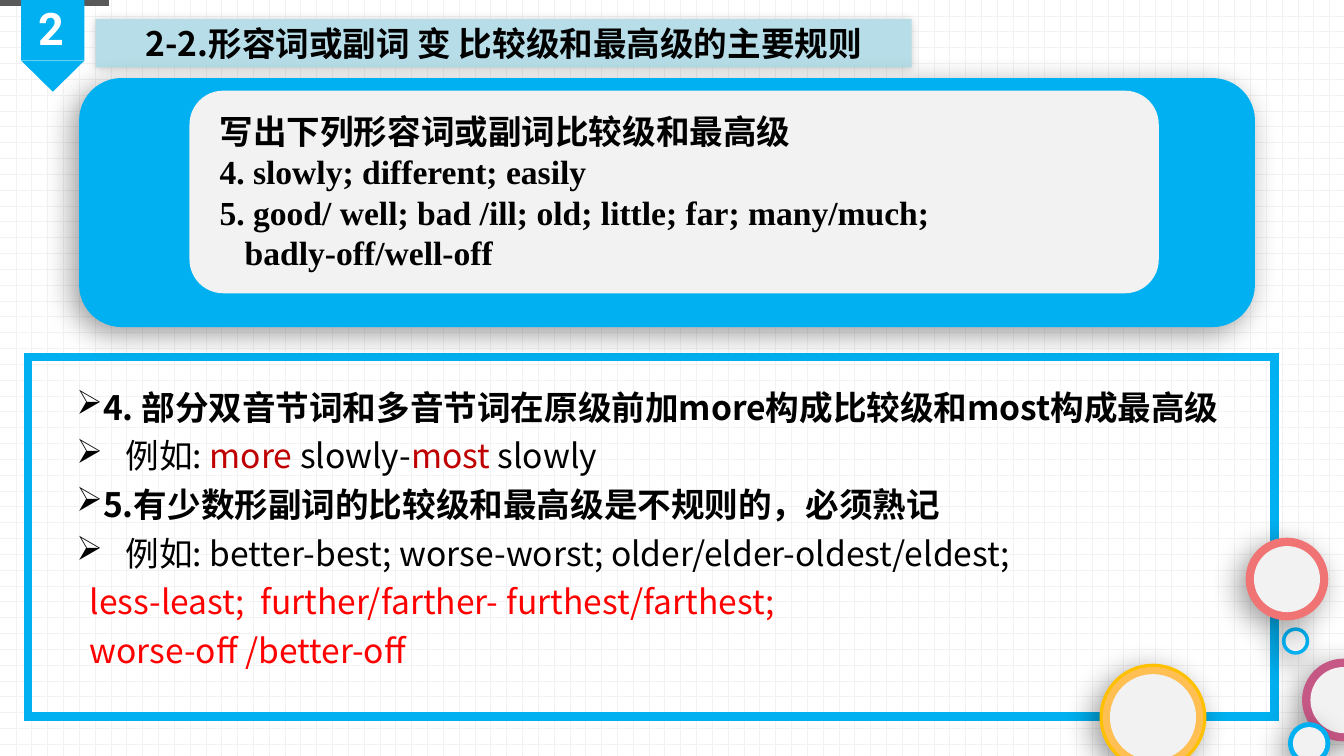
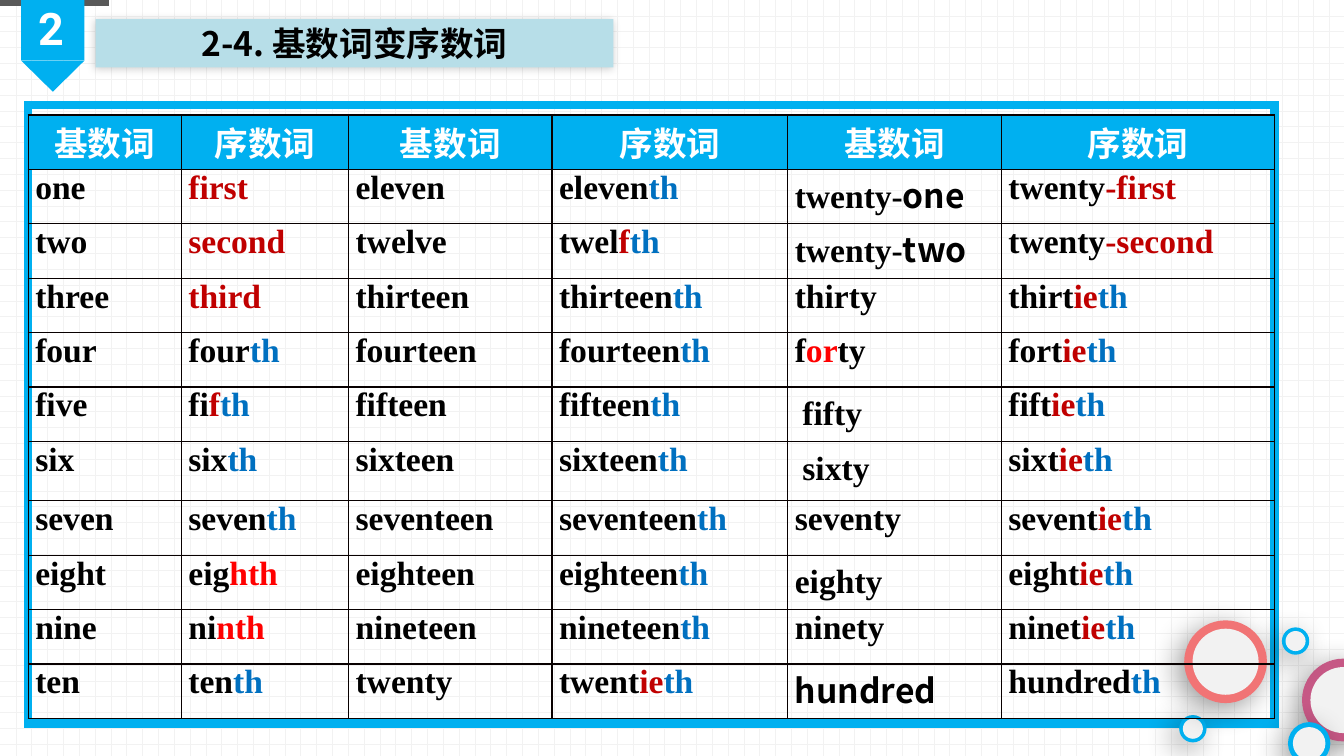
from dataclasses import dataclass

from lxml import etree
from pptx import Presentation
from pptx import util as u
from pptx.dml.color import RGBColor
from pptx.enum import dml, shapes, text
from pptx.oxml.ns import qn


@dataclass(frozen=True)
class Theme:
    """Colours, fonts and type sizes shared by the slides."""
    sky: str = "00B0F0"
    pale: str = "B7DEE8"
    mist: str = "F2F2F2"
    white: str = "FFFFFF"
    black: str = "000000"
    grid: str = "080000"
    slate: str = "595959"
    deep: str = "C00000"
    red: str = "FF0000"
    blue: str = "0070C0"
    purple: str = "C65885"
    coral: str = "F17475"
    amber: str = "FFBF53"
    gold: str = "FFC000"
    sans: str = "Noto Sans CJK SC"
    serif: str = "Times New Roman"
    digit: str = "Roboto"
    size: float = 24
    digit_size: float = 32
    leading: float = 34.8


@dataclass(frozen=True)
class Box:
    """A region in inches, divided by percentages."""
    x: float
    y: float
    w: float
    h: float

    def area(self, x, y, w, h):
        """Return the region at the given percentages of this one."""
        return Box(self.x + self.w * x / 100, self.y + self.h * y / 100,
                   self.w * w / 100, self.h * h / 100)

    def emu(self):
        """Return left, top, width and height as lengths."""
        return [u.Inches(v) for v in (self.x, self.y, self.w, self.h)]


T = Theme()
PAGE = Box(0, 0, 13.34, 7.5)
KIND = shapes.MSO_SHAPE
MIDDLE = text.MSO_ANCHOR.MIDDLE
CENTER = text.PP_ALIGN.CENTER
SOFT, DEEP = (20, 6, 1), (40, 22, 7)
MARKS = {"#": T.deep, "+": T.blue, "!": T.red, "~": T.black}

TITLES = [("2-2.形容词或副词 变 比较级和最高级的主要规则", 60.72),
          ("2-4. 基数词变序数词", 38.53)]

QUESTIONS = [("写出下列形容词或副词比较级和最高级", 0),
             ("4. slowly; different; easily", 0),
             ("5. good/ well; bad /ill; old; little; far; many/much;", 0),
             ("badly-off/well-off", 0.25)]

RULE, EXAMPLE, MORE = (0.38, 0, True), (0.87, -0.49, True), (0.51, 0, False)
RULES = [
    ("4. 部分双音节词和多音节词在原级前加more构成比较级和most构成最高级", True, RULE),
    ("例如: |#more| slowly-|#most| slowly", False, EXAMPLE),
    ("5.有少数形副词的比较级和最高级是不规则的，必须熟记", True, RULE),
    ("例如: better-best; worse-worst; older/elder-oldest/eldest;", False, EXAMPLE),
    ("!less-least;  further/farther- furthest/farthest;", False, MORE),
    ("!worse-off /better-off", False, MORE),
]

NUMERALS = [
    ["基数词", "序数词"] * 3,
    ["one", "#first", "eleven", "eleven|+th", "twenty-|~one", "twenty|#-first"],
    ["two", "#second", "twelve", "twel|#f|+th", "twenty-|~two", "twenty|#-second"],
    ["three", "#third", "thirteen", "thirteen|+th", "thirty", "thirt|#ie|+th"],
    ["four", "four|+th", "fourteen", "fourteen|+th", "f|!or|ty", "fort|#ie|+th"],
    ["five", "fi|#f|+th", "fifteen", "fifteen|+th", "~ |fifty", "fift|#ie|+th"],
    ["six", "six|+th", "sixteen", "sixteen|+th", "~ |sixty", "sixt|#ie|+th"],
    ["seven", "seven|+th", "seventeen", "seventeen|+th", "seventy", "sevent|#ie|+th"],
    ["eight", "eig|!hth", "eighteen", "eighteen|+th", "eighty", "eight|#ie|+th"],
    ["nine", "ni|!nth", "nineteen", "nineteen|+th", "ninety", "ninet|#ie|+th"],
    ["ten", "ten|+th", "twenty", "twent|#ie|+th", "~hundred", "hundred|+th"],
]
COLUMNS = [1.52, 1.66, 2.02, 2.34, 2.12, 2.71]
ROWS = [0.54] * 6 + [0.59] + [0.54] * 4

CORNER_RINGS = [(99.96, 92.6, 5.92, T.purple, T.purple),
                (97.41, 98.33, 2.92, T.sky, T.sky),
                (96.4, 84.8, 1.8, T.sky, T.sky)]
RULE_RINGS = [(85.79, 94.87, 7.72, T.amber, T.gold),
              (95.76, 76.6, 5.92, T.coral, T.coral)]
TABLE_RINGS = [(88.76, 96.4, 1.8, T.sky, T.sky),
               (91.19, 87.53, 5.92, T.coral, T.coral)]


def rgb(value):
    """Return a colour from its hex digits."""
    return RGBColor.from_string(value)


def node(parent, tag, **attrs):
    """Append a drawing element to parent."""
    return etree.SubElement(parent, qn("a:" + tag), {k: str(v) for k, v in attrs.items()})


def add_shadow(sp, alpha, blur, dist):
    """Give a shape a soft shadow to its lower left."""
    effects = sp._element.spPr.find(qn("a:effectLst"))
    outer = node(effects, "outerShdw", blurRad=u.Pt(blur), dist=u.Pt(dist),
                 dir=135 * 60000, algn="tr", rotWithShape=0)
    node(node(outer, "srgbClr", val=T.black), "alpha", val=alpha * 1000)


def add_shape(parent, kind, box, fill=None, line=None, width=2.25, shadow=None):
    """Add a preset shape with plain fill, line and optional shadow."""
    sp = parent.shapes.add_shape(kind, *box.emu())
    sp.shadow.inherit = False
    if fill:
        sp.fill.solid()
        sp.fill.fore_color.rgb = rgb(fill)
    else:
        sp.fill.background()
    if line:
        sp.line.color.rgb = rgb(line)
        sp.line.width = u.Pt(width)
        node(sp._element.spPr.find(qn("a:ln")), "miter", lim=800000)
    else:
        sp.line.fill.background()
    if shadow:
        add_shadow(sp, *shadow)
    return sp


def add_runs(p, marked, font=T.sans, color=T.black, bold=True, size=T.size):
    """Write marked text, one run for each piece between bars."""
    for piece in marked.split("|"):
        mark = piece[0] if piece[0] in MARKS else ""
        r = p.add_run()
        r.text = piece[len(mark):]
        r.font.size = u.Pt(size)
        r.font.bold = bold
        r.font.color.rgb = rgb(MARKS.get(mark, color))
        r.font.name = T.sans if mark == "~" else font
        node(r._r.get_or_add_rPr(), "ea", typeface=T.sans)


def add_text(slide, box, wrap=True):
    """Add a text box and return its text frame."""
    tf = slide.shapes.add_textbox(*box.emu()).text_frame
    tf.word_wrap = wrap
    return tf


def next_paragraph(tf, index, left=0, first=0):
    """Return the paragraph at index with its indents set."""
    p = tf.add_paragraph() if index else tf.paragraphs[0]
    pPr = p._p.get_or_add_pPr()
    pPr.set("marL", str(u.Inches(left)))
    pPr.set("indent", str(u.Inches(first)))
    return p


def add_marker(slide, box):
    """Add the chapter ribbon with its number."""
    ribbon = slide.shapes.add_group_shape()
    add_shape(ribbon, KIND.RECTANGLE, box.area(0, 0, 100, 66), T.sky)
    add_shape(ribbon, KIND.ISOSCELES_TRIANGLE, box.area(0, 66, 100, 34), T.sky).rotation = 180
    p = add_text(slide, box.area(11.1, -22, 82.5, 88), wrap=False).paragraphs[0]
    p.line_spacing = 1.3
    p.space_before = u.Pt(6)
    add_runs(p, "2", T.digit, T.white, size=T.digit_size)


def add_title(slide, box, title):
    """Add the title band."""
    tf = add_shape(slide, KIND.RECTANGLE, box, T.pale, shadow=SOFT).text_frame
    tf.margin_left = tf.margin_right = u.Inches(0.07)
    tf.margin_top = tf.margin_bottom = u.Inches(0.04)
    tf.vertical_anchor = MIDDLE
    tf.word_wrap = True
    tf.paragraphs[0].alignment = CENTER
    add_runs(tf.paragraphs[0], title)


def add_frame(slide, box):
    """Add the thick outline around the content."""
    add_shape(slide, KIND.RECTANGLE, box, line=T.sky, width=6)


def add_rings(slide, box, rings):
    """Add rings from centre, diameter, fill and line."""
    for cx, cy, share, fill, line in rings:
        d = box.w * share / 100
        disc = Box(box.x + box.w * cx / 100 - d / 2, box.y + box.h * cy / 100 - d / 2, d, d)
        ring = slide.shapes.add_group_shape()
        add_shape(ring, KIND.OVAL, disc, fill, line, shadow=DEEP)
        add_shape(ring, KIND.OVAL, disc.area(8.5, 8.5, 83, 83), T.mist)


def add_questions(slide, box):
    """Add the rounded panel with the exercise."""
    panel = slide.shapes.add_group_shape()
    add_shape(panel, KIND.ROUNDED_RECTANGLE, box, T.sky, T.sky, shadow=DEEP)
    add_shape(panel, KIND.ROUNDED_RECTANGLE, box.area(9.28, 4.5, 82.65, 82.38), T.mist)
    tf = add_text(slide, box.area(11, 10.66, 80.93, 69.67))
    for i, (line, left) in enumerate(QUESTIONS):
        add_runs(next_paragraph(tf, i, left), line, T.serif)


def add_rules(slide, box):
    """Add the framed rules and their examples."""
    add_frame(slide, box)
    tf = add_text(slide, box.area(0, -2.5, 98.2, 98))
    tf.vertical_anchor = MIDDLE
    for i, (line, bold, (left, first, bullet)) in enumerate(RULES):
        p = next_paragraph(tf, i, left, first)
        p.line_spacing = u.Pt(T.leading)
        if bullet:
            node(p._p.get_or_add_pPr(), "buChar", char="➢")
        add_runs(p, line, bold=bold)


def style_cell(cell, marked, header):
    """Fill one table cell with borders, background and text."""
    tcPr = cell._tc.get_or_add_tcPr()
    for side in ("lnL", "lnR", "lnT", "lnB"):
        ln = node(tcPr, side, w=u.Pt(1))
        node(node(ln, "solidFill"), "srgbClr", val=T.grid)
    cell.margin_left = cell.margin_right = u.Inches(0.07)
    cell.margin_top = cell.margin_bottom = 0
    p = cell.text_frame.paragraphs[0]
    if header:
        cell.fill.solid()
        cell.fill.fore_color.rgb = rgb(T.sky)
        p.alignment = CENTER
    else:
        cell.fill.background()
    if header or marked == "eighty":
        cell.vertical_anchor = MIDDLE
    add_runs(p, marked, *((T.sans, T.white) if header else (T.serif, T.black)))


def add_numerals(slide, box):
    """Add the table of cardinal and ordinal numbers."""
    table = slide.shapes.add_table(len(ROWS), len(COLUMNS), *box.emu()).table
    table.first_row = table.horz_banding = False
    for column, share in zip(table.columns, COLUMNS):
        column.width = u.Inches(box.w * share / sum(COLUMNS))
    for i, (row, share) in enumerate(zip(table.rows, ROWS)):
        row.height = u.Inches(box.h * share / sum(ROWS))
        for cell, marked in zip(row.cells, NUMERALS[i]):
            style_cell(cell, marked, i == 0)


def add_slide(prs, title, width):
    """Add a blank slide with the shared header."""
    s = prs.slides.add_slide(prs.slide_layouts[6])
    fill = s.background.fill
    fill.patterned()
    fill.pattern = dml.MSO_PATTERN.DOTTED_GRID
    fill.fore_color.rgb = rgb(T.mist)
    fill.back_color.rgb = rgb(T.white)
    add_shape(s, KIND.RECTANGLE, PAGE.area(0, 0, 8.1, 0.8), T.slate)
    add_marker(s, PAGE.area(1.57, 0, 4.72, 12.13))
    add_title(s, PAGE.area(7.12, 2.53, width, 6.4), title)
    return s


def main():
    """Build and save the two slides."""
    prs = Presentation()
    prs.slide_width, prs.slide_height = u.Inches(PAGE.w), u.Inches(PAGE.h)
    rules, numerals = [add_slide(prs, *title) for title in TITLES]
    add_rules(rules, PAGE.area(2.1, 47.2, 92.73, 47.6))
    add_questions(rules, PAGE.area(6, 10.53, 87.26, 32.53))
    add_rings(rules, PAGE, CORNER_RINGS + RULE_RINGS)
    add_frame(numerals, PAGE.area(2.1, 13.87, 92.73, 81.87))
    add_rings(numerals, PAGE, CORNER_RINGS + TABLE_RINGS)
    add_numerals(numerals, PAGE.area(2.1, 15.2, 92.73, 79.87))
    prs.save("out.pptx")


if __name__ == "__main__":
    main()
